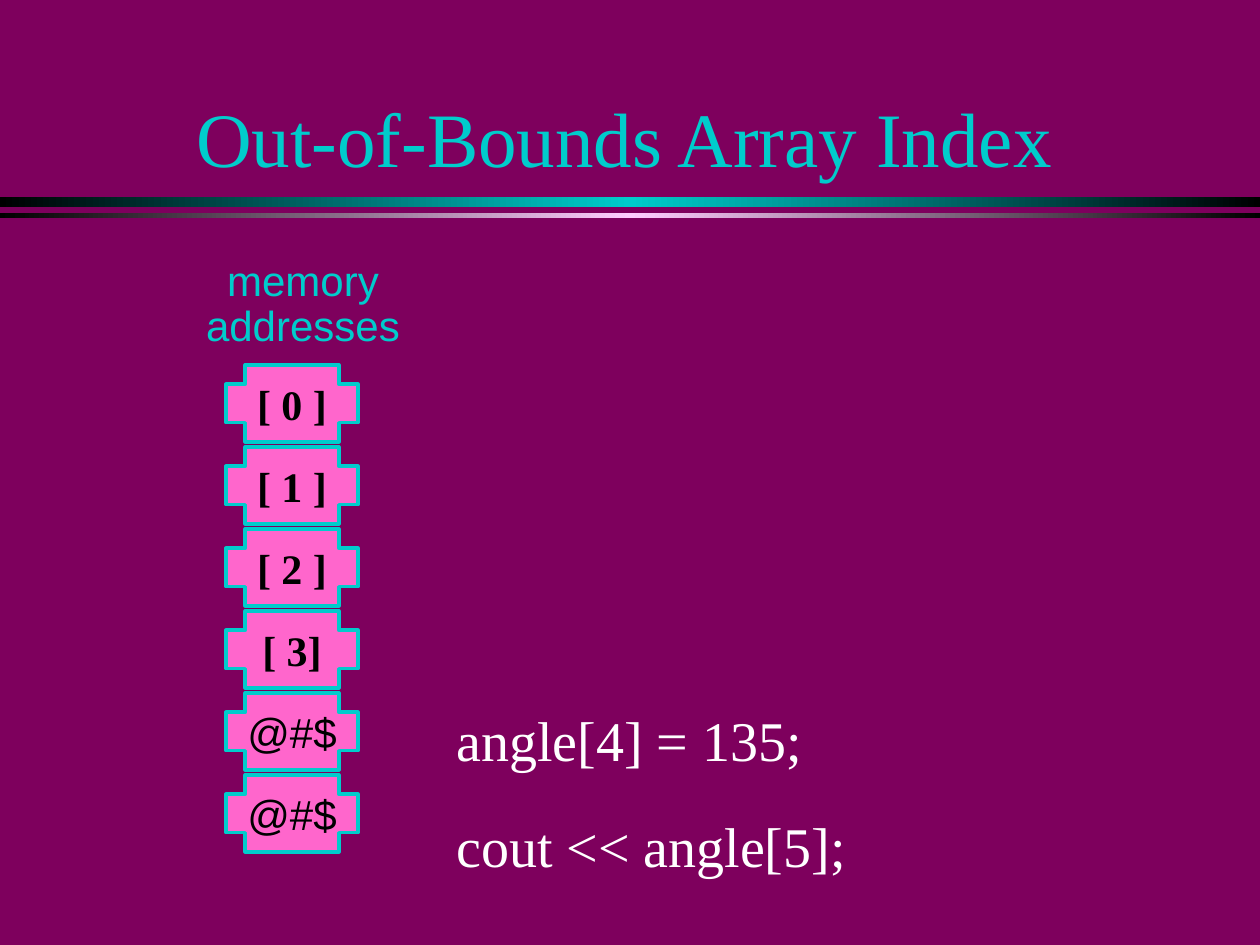
from copy import deepcopy
from dataclasses import dataclass

from pptx import Presentation
from pptx import util as u
from pptx.dml.color import RGBColor
from pptx.enum import shapes, text
from pptx.oxml.ns import qn


@dataclass(frozen=True)
class Theme:
    background: str = "7E005D"
    accent: str = "00CCCC"
    highlight: str = "FFCCFF"
    cell: str = "FF66CC"
    dark: str = "000000"
    light: str = "FFFFFF"
    serif: str = "Times New Roman"
    sans: str = "Arial"
    title_size: int = 44
    code_size: int = 32
    label_size: int = 24


THEME = Theme()
EMU_PER_PX = 914400 / 126


def px(length):
    return u.Emu(round(length * EMU_PER_PX))


def color(value):
    return RGBColor.from_string(value)


def write_text(shape, lines, *, font, size, fill, bold=False, wrap=True,
               align=text.PP_ALIGN.CENTER, anchor=text.MSO_ANCHOR.TOP,
               line_spacing=1.0, gap=0):
    frame = shape.text_frame
    frame.word_wrap = wrap
    frame.auto_size = text.MSO_AUTO_SIZE.NONE
    frame.vertical_anchor = anchor
    for index, line in enumerate(lines):
        paragraph = frame.add_paragraph() if index else frame.paragraphs[0]
        paragraph.text = line
        paragraph.alignment = align
        paragraph.line_spacing = line_spacing
        paragraph.space_before = u.Pt(gap if index else 0)
        paragraph.font.name = font
        paragraph.font.size = u.Pt(size)
        paragraph.font.bold = bold
        paragraph.font.color.rgb = color(fill)


def add_text(slide, box, lines, **style):
    shape = slide.shapes.add_textbox(*map(px, box))
    write_text(shape, lines, **style)


def add_bar(slide, box, middle):
    shape = slide.shapes.add_shape(shapes.MSO_SHAPE.RECTANGLE, *map(px, box))
    shape.shadow.inherit = False
    shape.line.fill.background()
    shape.fill.gradient()
    shape.fill.gradient_angle = 0
    stop_list = shape.element.spPr.find(".//" + qn("a:gsLst"))
    stop_list.insert(1, deepcopy(stop_list[0]))
    values = (THEME.dark, middle, THEME.dark)
    for stop, position, value in zip(shape.fill.gradient_stops, (0, 0.5, 1), values):
        stop.position = position
        stop.color.rgb = color(value)


def add_divider(slide, box):
    left, top, width, height = box
    add_bar(slide, (left, top, width, 10), THEME.accent)
    add_bar(slide, (left, top + height - 5, width, 5), THEME.highlight)


def add_title(slide, box, title):
    shape = slide.shapes.title
    shape.left, shape.top, shape.width, shape.height = map(px, box)
    write_text(shape, [title], font=THEME.serif, size=THEME.title_size,
               fill=THEME.accent, anchor=text.MSO_ANCHOR.BOTTOM)


def add_memory_column(slide, box, cells):
    left, top, width, height = box
    pitch = height / len(cells)
    for index, (label, font, bold) in enumerate(cells):
        cell_box = (left, top + index * pitch, width, 77)
        shape = slide.shapes.add_shape(shapes.MSO_SHAPE.CROSS, *map(px, cell_box))
        shape.shadow.inherit = False
        shape.adjustments[0] = 0.25
        shape.fill.solid()
        shape.fill.fore_color.rgb = color(THEME.cell)
        shape.line.color.rgb = color(THEME.accent)
        shape.line.width = u.Pt(2)
        write_text(shape, [label], font=font, size=THEME.label_size, bold=bold,
                   fill=THEME.dark, wrap=False, anchor=text.MSO_ANCHOR.MIDDLE)


def main():
    presentation = Presentation()
    presentation.slide_width = px(1260)
    presentation.slide_height = px(945)
    slide = presentation.slides.add_slide(presentation.slide_layouts[5])
    slide.background.fill.solid()
    slide.background.fill.fore_color.rgb = color(THEME.background)

    add_divider(slide, (0, 197, 1260, 21))
    add_title(slide, (84, 32, 1081, 157), "Out-of-Bounds Array Index")
    add_text(slide, (172, 254, 262, 104), ["memory", "addresses"],
             font=THEME.sans, size=THEME.label_size, fill=THEME.accent,
             line_spacing=0.9)
    add_text(slide, (444, 699, 720, 184), ["angle[4] = 135;", "cout << angle[5];"],
             font=THEME.serif, size=THEME.code_size, fill=THEME.light,
             align=text.PP_ALIGN.LEFT, gap=22.5)
    array_cells = [(label, THEME.serif, True)
                   for label in ("[ 0 ]", "[ 1 ]", "[ 2 ]", "[ 3]")]
    outside_cells = [("@#$", THEME.sans, False)] * 2
    add_memory_column(slide, (226, 365, 132, 492), array_cells + outside_cells)

    presentation.save("out.pptx")


if __name__ == "__main__":
    main()
